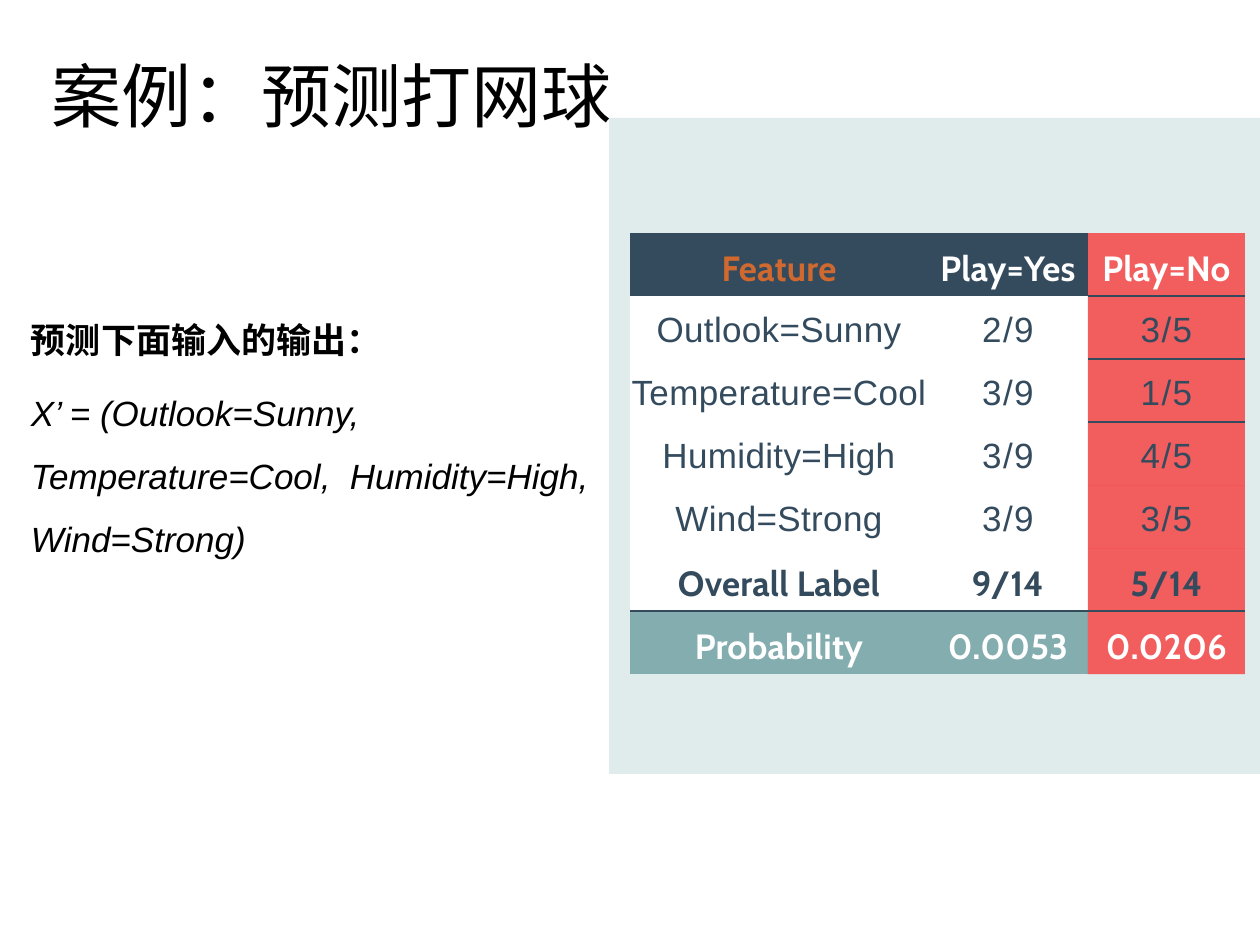
from lxml import etree
from pptx import Presentation
from pptx import util as u
from pptx.dml.color import RGBColor
from pptx.enum import shapes, text
from pptx.oxml.ns import qn

EMU_PER_PX = 914400 / 126
NAVY, TEAL, RED, WHITE, BLACK = "344B5E", "84ADAF", "FF0000", "FFFFFF", "000000"
ORANGE, PANEL = "D0692F", "E0EBEB"
PLAIN_TABLE = "{2D5ABB26-0587-4C30-8999-92F81FD0307C}"


def px(value):
    return u.Emu(round(value * EMU_PER_PX))


def color(hex_string):
    return RGBColor.from_string(hex_string)


def set_alpha(fill_parent, percent):
    srgb = fill_parent.find(qn("a:solidFill")).find(qn("a:srgbClr"))
    etree.SubElement(srgb, qn("a:alpha")).set("val", str(percent * 1000))


def set_borders(cell, sides):
    """Draw 1 pt navy lines; sides is a string such as "TB"."""
    properties = cell._tc.get_or_add_tcPr()
    for index, side in enumerate(sides):
        line = etree.Element(qn("a:ln" + side), w=str(u.Pt(1)))
        fill = etree.SubElement(line, qn("a:solidFill"))
        etree.SubElement(fill, qn("a:srgbClr")).set("val", NAVY)
        properties.insert(index, line)


class Deck:
    heading_font, body_font = "Cabin", "Arial"

    def __init__(self):
        self.presentation = Presentation()
        self.presentation.slide_width = px(1260)
        self.presentation.slide_height = px(945)
        self.slide = self.presentation.slides.add_slide(
            self.presentation.slide_layouts[5])

    def format(self, paragraph, font, size, ink, bold=False, italic=False,
               spacing=0, before=0, align=text.PP_ALIGN.LEFT):
        paragraph.alignment = align
        paragraph.space_before = u.Pt(before)
        for run in paragraph.runs:
            run.font.name, run.font.size = font, u.Pt(size)
            run.font.bold, run.font.italic = bold, italic
            run.font.color.rgb = color(ink)
            if spacing:
                run.font._element.set("spc", str(spacing))

    def frame(self, shape, top_inset):
        frame = shape.text_frame
        frame.word_wrap = True
        frame.auto_size = text.MSO_AUTO_SIZE.SHAPE_TO_FIT_TEXT
        frame.margin_left = frame.margin_right = frame.margin_bottom = 0
        frame.margin_top = px(top_inset)
        return frame

    def panel(self, left, top, width, height, fill):
        shape = self.slide.shapes.add_shape(
            shapes.MSO_SHAPE.RECTANGLE, *map(px, (left, top, width, height)))
        shape.shadow.inherit = False
        shape.fill.solid()
        shape.fill.fore_color.rgb = color(fill)
        shape.line.fill.background()

    def title(self, words, left, top, width, height):
        shape = self.slide.shapes.title
        shape.left, shape.top = px(left), px(top)
        shape.width, shape.height = px(width), px(height)
        frame = self.frame(shape, 15)
        frame.vertical_anchor = text.MSO_ANCHOR.MIDDLE
        frame.text = words
        self.format(frame.paragraphs[0], "Calibri", 40, BLACK, before=8.5)

    def question(self, heading, body, left, top, width, height):
        shape = self.slide.shapes.add_textbox(*map(px, (left, top, width, height)))
        frame = self.frame(shape, 9)
        frame.text = heading
        frame.add_paragraph().text = body
        first, second = frame.paragraphs
        self.format(first, self.heading_font, 20, BLACK, bold=True, before=5.2)
        self.format(second, self.body_font, 20, BLACK, italic=True, before=5.2)
        for paragraph in frame.paragraphs:
            paragraph.line_spacing = 1.5

    def table(self, rows, left, top, widths, row_height):
        table = self.slide.shapes.add_table(
            len(rows), len(widths), px(left), px(top),
            px(sum(widths)), px(row_height * len(rows))).table
        table.first_row = table.horz_banding = False
        table._tbl.tblPr.find(qn("a:tableStyleId")).text = PLAIN_TABLE
        for column, width in zip(table.columns, widths):
            column.width = px(width)
        for index, values in enumerate(rows):
            table.rows[index].height = px(row_height)
            for column, value in enumerate(values):
                self.cell(table.cell(index, column), value, index, column, len(rows))

    def cell(self, cell, value, row, column, row_count):
        header, total, result = row == 0, row == row_count - 2, row == row_count - 1
        last_column = column == 2

        # Text
        cell.margin_left = cell.margin_right = cell.margin_bottom = 0
        cell.margin_top = px(15)
        cell.text = value
        strong = header or total or result
        ink = WHITE if header or result else NAVY
        if header and column == 0:
            ink = ORANGE
        spacing = 10 if strong else 20 if column == 0 else 80
        self.format(cell.text_frame.paragraphs[0],
                    self.heading_font if strong else self.body_font, 20, ink,
                    bold=strong, spacing=spacing, before=8.6,
                    align=text.PP_ALIGN.CENTER)

        # Fill
        fill = NAVY if header else TEAL if result else WHITE
        cell.fill.solid()
        cell.fill.fore_color.rgb = color(RED if last_column else fill)
        if last_column:
            set_alpha(cell._tc.get_or_add_tcPr(), 60)

        # Rules around the totals and under the first rows of the last column
        sides = "B" if total else "T" if result else ""
        if last_column and row < 3:
            sides = ("B", "TB", "T")[row]
        set_borders(cell, sides)


def main():
    deck = Deck()
    deck.panel(609, 118, 651, 656, PANEL)
    deck.table(
        [("Feature", "Play=Yes", "Play=No"),
         ("Outlook=Sunny", "2/9", "3/5"),
         ("Temperature=Cool", "3/9", "1/5"),
         ("Humidity=High", "3/9", "4/5"),
         ("Wind=Strong", "3/9", "3/5"),
         ("Overall Label", "9/14", "5/14"),
         ("Probability", "0.0053", "0.0206")],
        630, 233, (298, 160, 157), 63)
    deck.title("案例：预测打网球", 52, 37, 578, 100)
    deck.question(
        "预测下面输入的输出：",
        "X’ = (Outlook=Sunny, Temperature=Cool,  Humidity=High, Wind=Strong)",
        31, 289, 578, 265)
    deck.presentation.save("out.pptx")


if __name__ == "__main__":
    main()
